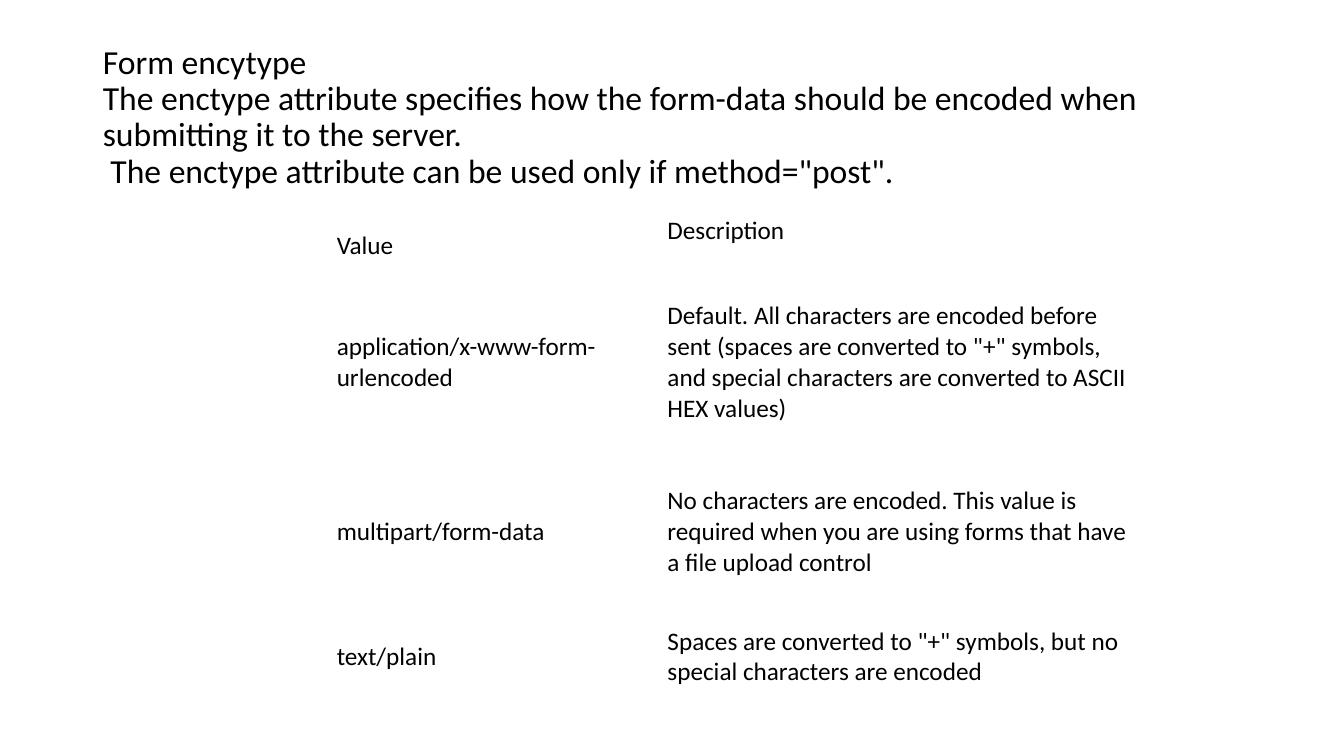
"""Build a slide that explains the form enctype values in a table."""
from dataclasses import dataclass

from pptx import Presentation
from pptx.dml.color import RGBColor
from pptx.enum.text import MSO_ANCHOR, MSO_AUTO_SIZE, PP_ALIGN
from pptx.util import Inches, Pt

MIDDLE = MSO_ANCHOR.MIDDLE
LEFT = PP_ALIGN.LEFT
FIXED = MSO_AUTO_SIZE.NONE
TITLE_ONLY = 5
PLAIN = "{2D5ABB26-0587-4C30-8999-92F81FD0307C}"


@dataclass(frozen=True)
class Theme:
    font: str = "Calibri"
    ink: RGBColor = RGBColor(0, 0, 0)
    title: Pt = Pt(24)
    body: Pt = Pt(18)


THEME = Theme()
WIDE, HIGH = 13.33, 7.5
TITLE_BOX = (0.92, 0.4, 11.5, 1.54)
TABLE_BOX = (3.24, 1.94, 8.2, 5.08)
SHARES = (0.4, 0.6)
ROWS = (0.58, 1.9, 1.46, 1.02)
DROP = 0.35

TITLE = (
    "Form encytype",
    "The enctype attribute specifies how the form-data should be encoded "
    "when submitting it to the server.",
    " The enctype attribute can be used only if method=\"post\".",
)
DATA = (
    ("Value", "Description"),
    ("application/x-www-form-urlencoded",
     "Default. All characters are encoded before sent (spaces are converted "
     "to \"+\" symbols, and special characters are converted to ASCII HEX values)"),
    ("multipart/form-data",
     "No characters are encoded. This value is required when you are using "
     "forms that have a file upload control"),
    ("text/plain",
     "Spaces are converted to \"+\" symbols, but no special characters are encoded"),
)


def style(frame, size):
    for para in frame.paragraphs:
        para.alignment = LEFT
        for run in para.runs:
            run.font.name = THEME.font
            run.font.size = size
            run.font.color.rgb = THEME.ink


def add_title(slide):
    title = slide.shapes.title
    title.left, title.top, title.width, title.height = map(Inches, TITLE_BOX)
    frame = title.text_frame
    frame.text = "\v".join(TITLE)
    frame.auto_size = FIXED
    frame.vertical_anchor = MIDDLE
    frame.paragraphs[0].line_spacing = 0.9
    style(frame, THEME.title)


def fill_cell(cell, text):
    cell.text_frame.text = text
    cell.vertical_anchor = MIDDLE
    cell.fill.background()
    style(cell.text_frame, THEME.body)


def add_grid(slide):
    shape = slide.shapes.add_table(len(DATA), len(SHARES), *map(Inches, TABLE_BOX))
    shape.element.xpath(".//a:tableStyleId")[0].text = PLAIN
    table = shape.table
    table.first_row = table.horz_banding = False
    for col, share in zip(table.columns, SHARES):
        col.width = Inches(TABLE_BOX[2] * share)
    for row, high, texts in zip(table.rows, ROWS, DATA):
        row.height = Inches(high)
        for cell, text in zip(row.cells, texts):
            fill_cell(cell, text)
    table.cell(0, 0).margin_top = Inches(DROP)


def main():
    deck = Presentation()
    deck.slide_width, deck.slide_height = Inches(WIDE), Inches(HIGH)
    slide = deck.slides.add_slide(deck.slide_layouts[TITLE_ONLY])
    add_title(slide)
    add_grid(slide)
    deck.save("out.pptx")


if __name__ == "__main__":
    main()
